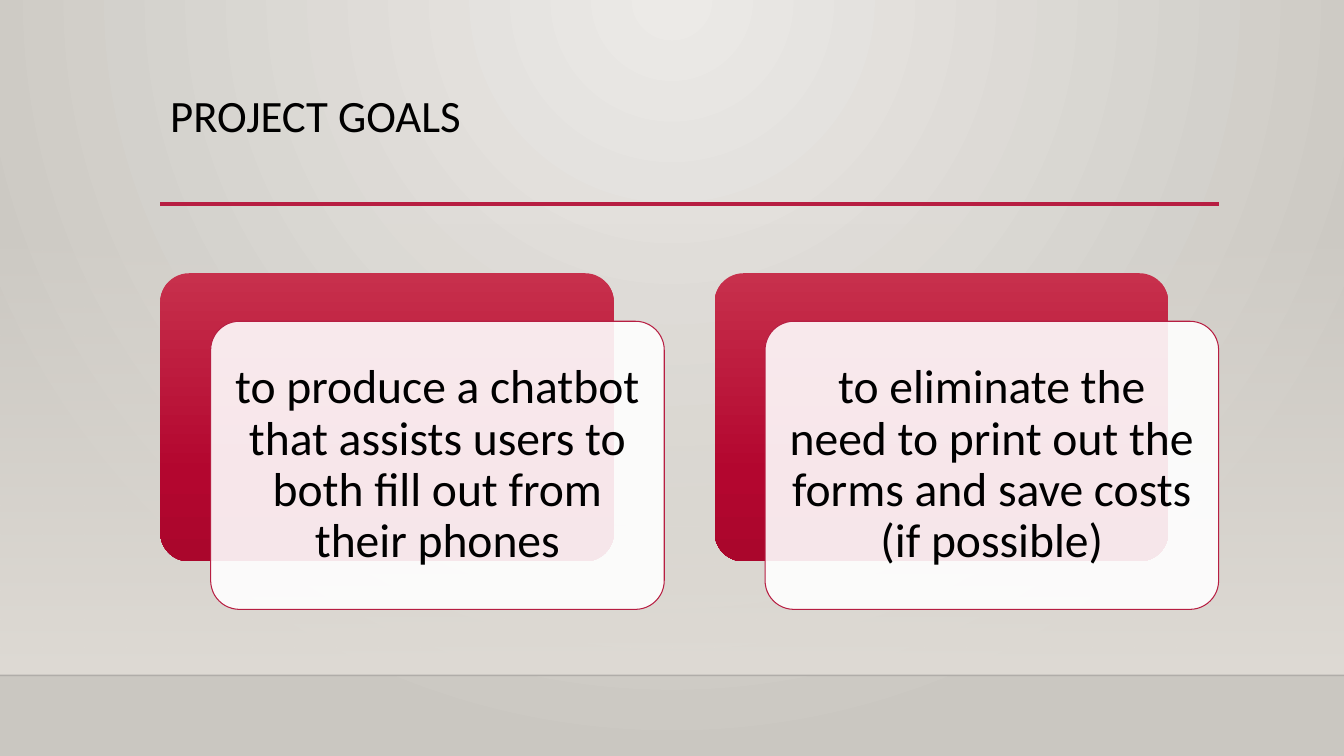
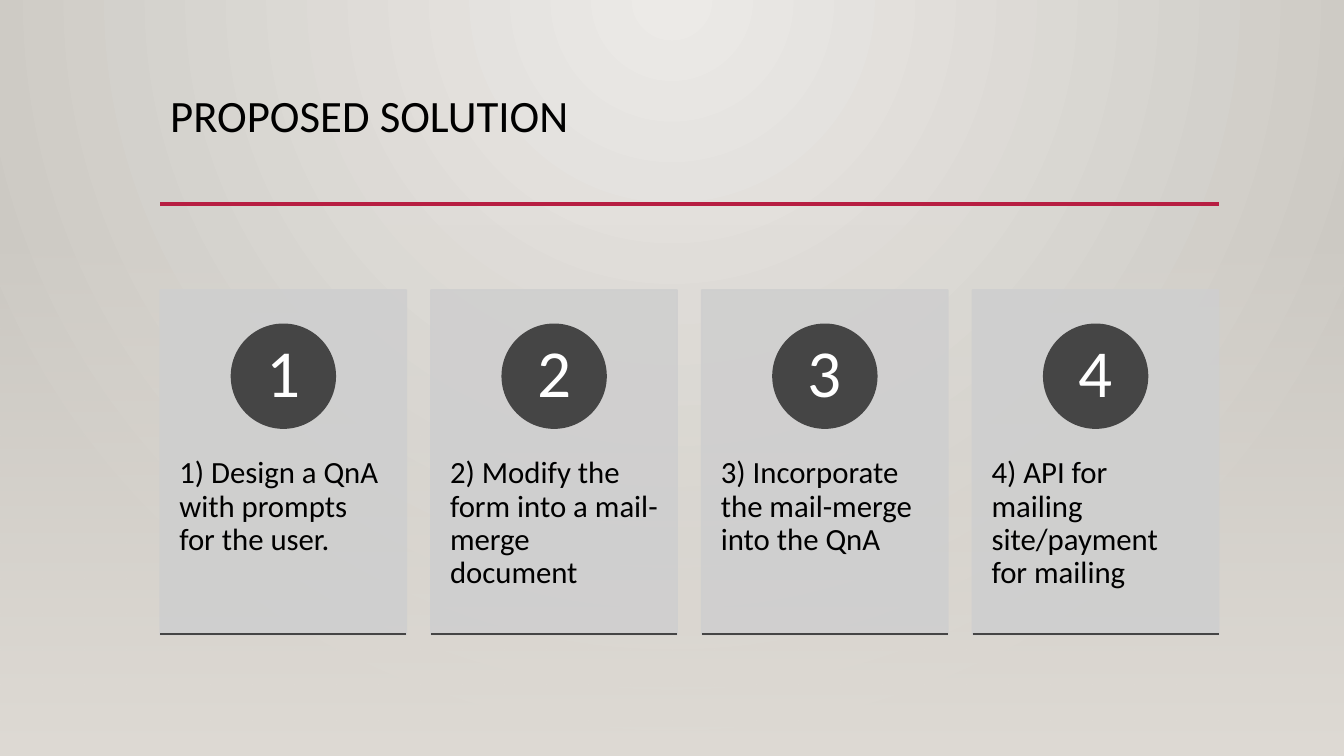
from lxml import etree
from pptx import Presentation
from pptx.enum import shapes as s, text as t
from pptx.oxml import ns
from pptx.util import Pt

LEFT, WIDE, HIGH, SPAN = 114.5, 960, 540, 756
RED, GREY, BLACK, WHITE = "B71E42", "454545", "000000", "FFFFFF"
HALO = {0: "ECEAE7", 100: "CAC7C1"}
VEIL = {0: "DFDBD500", 100: "DFDBD5"}
GLOSS = {0: "C7304C", 69: "B3062F", 100: "AA062C"}
TITLE = dict(size=32, color=BLACK, align="LEFT", anchor="TOP", pad=(7.2, 3.6))
GOAL = dict(size=34, color=BLACK, align="CENTER", anchor="MIDDLE", pad=(10, 10))
STEP = dict(size=22, color=BLACK, align="LEFT", anchor="TOP", pad=(13.6, 119.5))
NUMBER = dict(size=48, color=WHITE, align="CENTER", anchor="MIDDLE", pad=(5.5, 1))


def paint(fill, stops, halo=False):
    fill.solid()
    node = fill._xPr.find(ns.qn("a:solidFill"))
    plain = isinstance(stops, str)
    if plain:
        spots = [(node, stops)]
    else:
        grad = etree.Element(ns.qn("a:gradFill"), rotWithShape="1")
        row = etree.SubElement(grad, ns.qn("a:gsLst"))
        spots = [(etree.SubElement(row, ns.qn("a:gs"), pos=str(pos * 1000)), tone)
                 for pos, tone in stops.items()]
        if halo:
            way = etree.SubElement(grad, ns.qn("a:path"), path="circle")
            etree.SubElement(way, ns.qn("a:fillToRect"),
                             l="43000", t="0", r="43000", b="100000")
        else:
            etree.SubElement(grad, ns.qn("a:lin"), ang="5400000", scaled="0")
        fill._xPr.replace(node, grad)
    for spot, tone in spots:
        tint = etree.SubElement(spot, ns.qn("a:srgbClr"), val=tone[:6])
        if tone[6:]:
            part = round(int(tone[6:], 16) / 255 * 100) * 1000
            etree.SubElement(tint, ns.qn("a:alpha"), val=str(part))


def place(page, kind, box, fill=None, line=None, weight=1, words="", style=None):
    spots = [Pt(v) for v in box]
    if kind == "LINE":
        item = page.shapes.add_connector(s.MSO_CONNECTOR.STRAIGHT, *spots)
        etree.SubElement(item._element.spPr, ns.qn("a:effectLst"))
    elif kind == "TEXT":
        item = page.shapes.add_textbox(*spots)
    else:
        item = page.shapes.add_shape(s.MSO_SHAPE[kind], *spots)
        item.shadow.inherit = False
        item.line.fill.background()
    if fill:
        paint(item.fill, fill)
    if line:
        paint(item.line.fill, line)
        item.line.width = Pt(weight)
    if kind == "ROUNDED_RECTANGLE":
        item.adjustments[0] = 0.1
    if words:
        frame = item.text_frame
        across, down = style["pad"]
        form = dict(word_wrap=True, vertical_anchor=t.MSO_ANCHOR[style["anchor"]],
                    margin_left=Pt(across), margin_right=Pt(across),
                    margin_top=Pt(down), margin_bottom=Pt(min(down, 10)))
        for name, value in form.items():
            setattr(frame, name, value)
        para = frame.paragraphs[0]
        para.alignment = t.PP_ALIGN[style["align"]]
        para.line_spacing = 0.9
        run = para.add_run()
        run.text = words
        run.font.name = "Calibri"
        run.font.size = Pt(style["size"])
        paint(run.font.fill, style["color"])


deck = Presentation()
deck.slide_width, deck.slide_height = Pt(WIDE), Pt(HIGH)
pages = []
for title, floor in [("PROJECT GOALS", 482.4), ("PROPOSED SOLUTION", HIGH)]:
    page = deck.slides.add_slide(deck.slide_layouts[6])
    paint(page.background.fill, HALO, True)
    place(page, "RECTANGLE", (0, 159, WIDE, floor - 159), VEIL)
    if floor < HIGH:
        place(page, "LINE", (0, floor, WIDE, floor), line="00000133")
    place(page, "LINE", (LEFT, 145.7, LEFT + SPAN, 145.7), line=RED, weight=2.5)
    place(page, "TEXT", (LEFT, 63.4, SPAN, 82.8), words=title, style=TITLE)
    pages.append(page)
goals, plan = pages

aims = ["to produce a chatbot that assists users to both fill out from their phones",
        "to eliminate the need to print out the forms and save costs (if possible)"]
for i, aim in enumerate(aims):
    x = LEFT + i * 396
    place(goals, "ROUNDED_RECTANGLE", (x, 195.2, 324, 205.8), GLOSS)
    place(goals, "ROUNDED_RECTANGLE", (x + 36, 229.5, 324, 205.8), "FFFFFFE6",
          RED, 0.75, aim, GOAL)

steps = ["1) Design a QnA with prompts for the user.",
         "2) Modify the form into a mail-merge document",
         "3) Incorporate the mail-merge into the QnA",
         "4) API for mailing site/payment for mailing"]
card, disc, base = 175.8, 74, 453
pitch = (SPAN - card) / (len(steps) - 1)
for i, step in enumerate(steps):
    x = LEFT + i * pitch
    place(plan, "RECTANGLE", (x, 207.2, card, 246), "CFCFCFE6", "CFCFCFE6", 1.25,
          step, STEP)
    place(plan, "OVAL", (x + (card - disc) / 2, 231.7, disc, disc), GREY, GREY, 1.25,
          str(i + 1), NUMBER)
    place(plan, "LINE", (x, base, x + card, base), line=GREY, weight=1.25)

deck.save("out.pptx")
